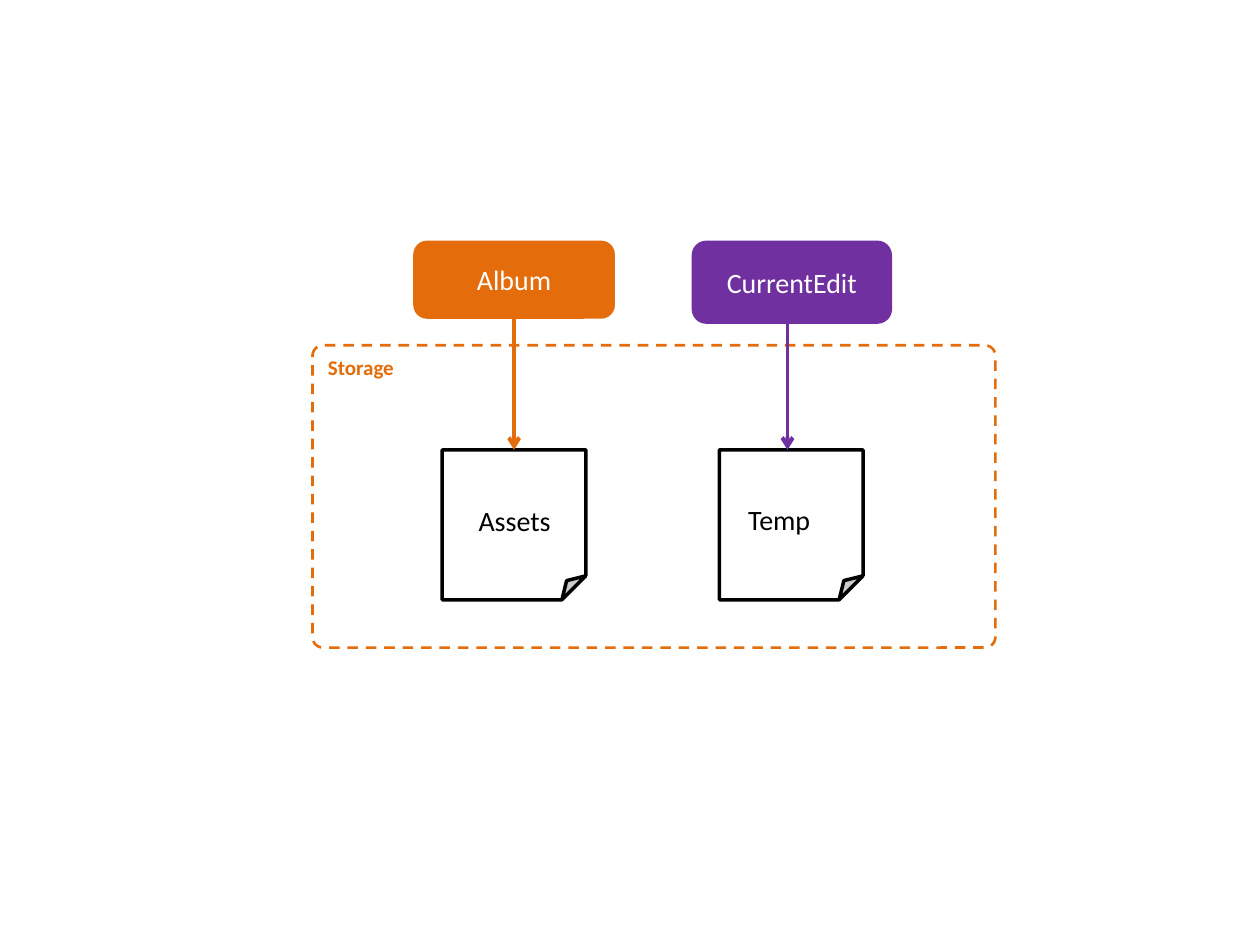
from dataclasses import dataclass

import lxml.etree
import pptx
import pptx.dml.color
import pptx.enum.dml
import pptx.enum.shapes
import pptx.enum.text
import pptx.oxml.ns
import pptx.util

Inches = pptx.util.Inches
SHAPES = pptx.enum.shapes.MSO_SHAPE
ALIGN = pptx.enum.text.PP_ALIGN
ANCHOR = pptx.enum.text.MSO_ANCHOR


@dataclass(frozen=True)
class Theme:
    font: str = "Calibri"
    album: str = "E46C0A"
    edit: str = "7030A0"
    ink: str = "000000"
    paper: str = "FFFFFF"
    label_size: float = 16
    caption_size: float = 12
    box_line: float = 1.5
    file_line: float = 2
    arrow_line: float = 2.25


def rgb(code):
    return pptx.dml.color.RGBColor.from_string(code)


def write(frame, text, *, font, size, color, bold=False,
          align=ALIGN.LEFT, anchor=ANCHOR.TOP):
    frame.word_wrap = True
    frame.vertical_anchor = anchor
    paragraph = frame.paragraphs[0]
    paragraph.alignment = align
    run = paragraph.add_run()
    run.text = text
    run.font.name = font
    run.font.size = pptx.util.Pt(size)
    run.font.bold = bold
    run.font.color.rgb = rgb(color)


class Diagram:
    def __init__(self, slide, theme):
        self.slide = slide
        self.theme = theme

    def outline(self, preset, place, line, width, fill=None):
        """Add a preset shape; without a fill colour it stays see-through."""
        shape = self.slide.shapes.add_shape(preset, *map(Inches, place))
        shape.shadow.inherit = False
        if fill:
            shape.fill.solid()
            shape.fill.fore_color.rgb = rgb(fill)
        else:
            shape.fill.background()
        shape.line.color.rgb = rgb(line)
        shape.line.width = pptx.util.Pt(width)
        return shape

    def file(self, left, top):
        self.outline(SHAPES.FOLDED_CORNER, (left, top, 1.14, 1.19),
                     self.theme.ink, self.theme.file_line, self.theme.paper)

    def container(self, text, place, color):
        frame = self.outline(SHAPES.ROUNDED_RECTANGLE, place, color, self.theme.box_line)
        frame.adjustments[0] = 0.035
        frame.line.dash_style = pptx.enum.dml.MSO_LINE.DASH
        write(frame.text_frame, text, font=self.theme.font,
              size=self.theme.caption_size, color=color, bold=True)

    def component(self, text, place, color):
        box = self.outline(SHAPES.ROUNDED_RECTANGLE, place, color, self.theme.box_line, color)
        write(box.text_frame, text, font=self.theme.font, size=self.theme.label_size,
              color=self.theme.paper, align=ALIGN.CENTER, anchor=ANCHOR.MIDDLE)

    def label(self, text, place):
        box = self.slide.shapes.add_textbox(*map(Inches, place))
        write(box.text_frame, text, font=self.theme.font,
              size=self.theme.label_size, color=self.theme.ink)
        box.text_frame.auto_size = pptx.enum.text.MSO_AUTO_SIZE.SHAPE_TO_FIT_TEXT

    def down_arrow(self, x, top, bottom, color):
        arrow = self.slide.shapes.add_connector(
            pptx.enum.shapes.MSO_CONNECTOR.STRAIGHT, *map(Inches, (x, top, x, bottom)))
        arrow.line.color.rgb = rgb(color)
        arrow.line.width = pptx.util.Pt(self.theme.arrow_line)
        qn = pptx.oxml.ns.qn
        lxml.etree.SubElement(arrow.line._get_or_add_ln(), qn("a:tailEnd"), type="arrow")
        lxml.etree.SubElement(arrow._element.spPr, qn("a:effectLst"))


def main():
    presentation = pptx.Presentation()
    presentation.slide_width = Inches(10)
    presentation.slide_height = Inches(7.5)
    theme = Theme()
    slide = presentation.slides.add_slide(presentation.slide_layouts[6])
    diagram = Diagram(slide, theme)

    file_top = 3.57
    diagram.file(5.71, file_top)
    diagram.container("Storage", (2.48, 2.74, 5.42, 2.4), theme.album)
    diagram.file(3.51, file_top)
    diagram.label("Assets", (3.7, 3.95, 2.33, 0.37))
    diagram.label("Temp", (5.84, 3.94, 1.16, 0.37))

    diagram.component("Album", (3.29, 1.92, 1.58, 0.6), theme.album)
    diagram.component("CurrentEdit", (5.5, 1.92, 1.57, 0.64), theme.edit)
    diagram.down_arrow(4.08, 2.45, file_top, theme.album)
    diagram.down_arrow(6.25, 2.36, file_top, theme.edit)

    presentation.save("out.pptx")


if __name__ == "__main__":
    main()
